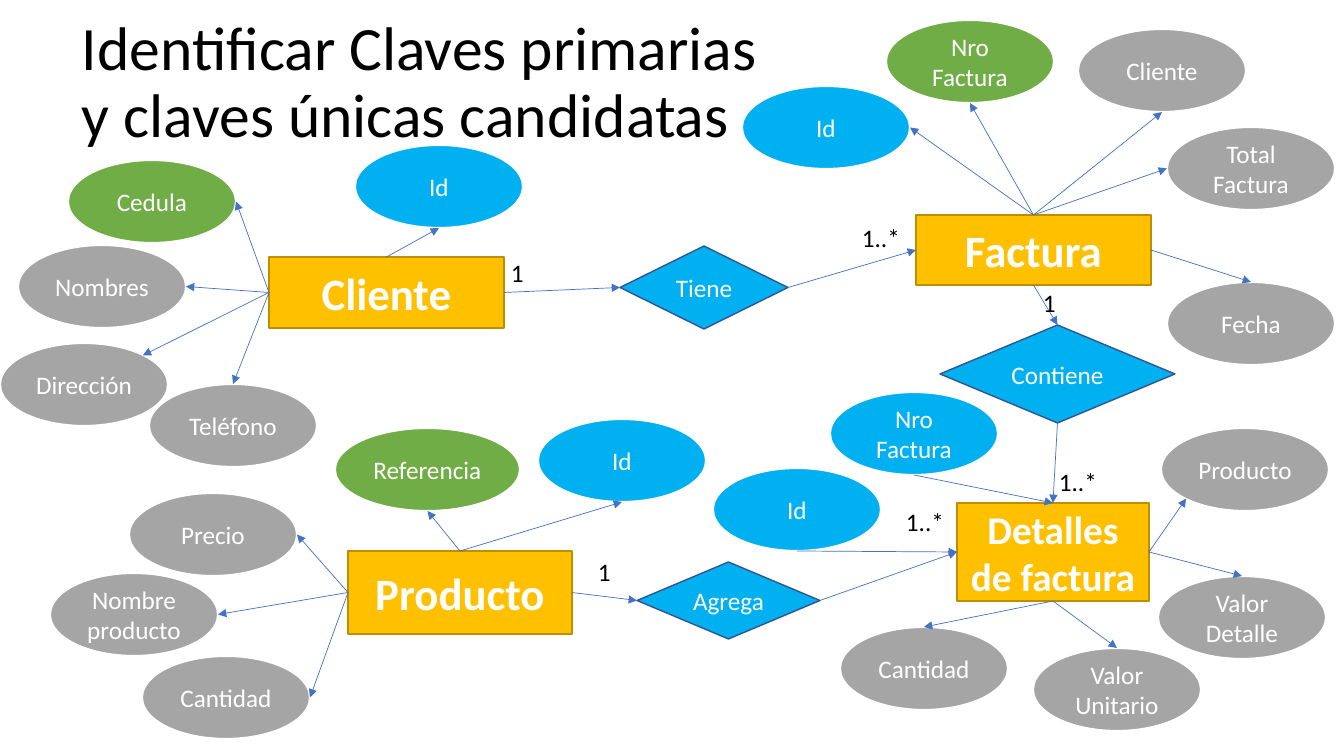
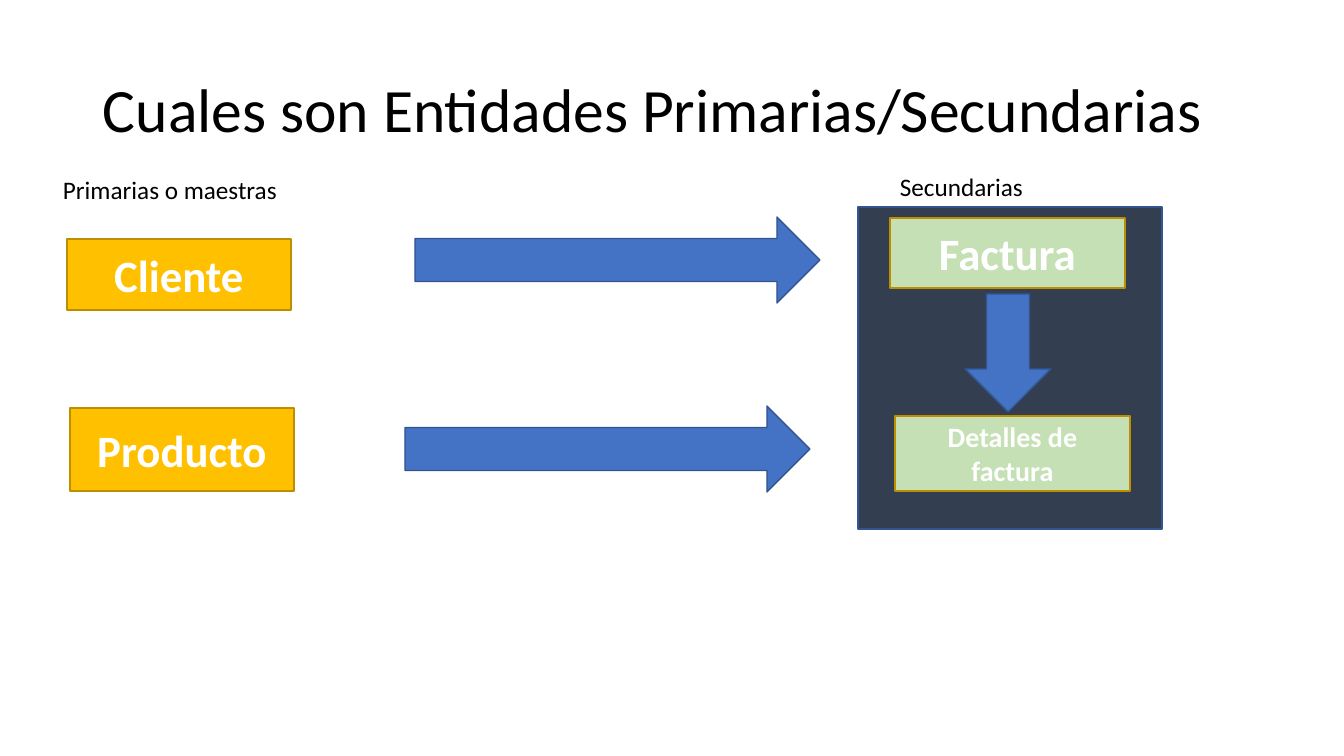
import pptx
import pptx.dml.color
import pptx.enum.shapes
import pptx.enum.text
import pptx.oxml.ns
import pptx.util
from lxml import etree

RGBColor = pptx.dml.color.RGBColor
SHAPES = pptx.enum.shapes.MSO_SHAPE
ALIGN = pptx.enum.text.PP_ALIGN
ANCHOR = pptx.enum.text.MSO_ANCHOR
AUTO_SIZE = pptx.enum.text.MSO_AUTO_SIZE

# Shared look
EMU_PER_PIXEL = 914400 / 100.8
SLIDE_SIZE = (1344, 756)
FONT = "Calibri"
WHITE = RGBColor(0xFF, 0xFF, 0xFF)
BLACK = RGBColor(0x00, 0x00, 0x00)
GOLD = RGBColor(0xFF, 0xC0, 0x00)
DARK_GOLD = RGBColor(0xBD, 0x8E, 0x00)
GRAY = RGBColor(0xA5, 0xA5, 0xA5)
GREEN = RGBColor(0x70, 0xAD, 0x47)
PALE_GREEN = RGBColor(0xC5, 0xE0, 0xB4)
SKY = RGBColor(0x00, 0xB0, 0xF0)
BLUE = RGBColor(0x44, 0x72, 0xC4)
DARK_BLUE = RGBColor(0x32, 0x54, 0x91)
NAVY = RGBColor(0x33, 0x3F, 0x50)

ATTRIBUTE_WIDTH, ATTRIBUTE_HEIGHT = 168, 83

# Anchor points as fractions of a shape's width and height;
# the diagonal ones lie on an ellipse's outline
ANCHOR_POINTS = {
    "top": (0.5, 0), "bottom": (0.5, 1), "left": (0, 0.5), "right": (1, 0.5),
    "top right": (0.85, 0.15), "bottom left": (0.15, 0.85),
}

# Entities of the diagram: box, text size
ENTITIES = {
    "Cliente": ((269, 257, 235, 71), 32),
    "Factura": ((916, 215, 235, 70), 32),
    "Detalles de factura": ((957, 503, 192, 98), 28),
    "Producto": ((348, 551, 224, 83), 32),
}

# Attributes by entity: text, left, top, fill, entity side, attribute side
ATTRIBUTES = {
    "Cliente": [
        ("Nombres", 18, 245, GRAY, "left", "right"),
        ("Dirección", 0, 343, GRAY, "left", "top right"),
        ("Teléfono", 149, 384, GRAY, "left", "top"),
        ("Cedula", 68, 160, GREEN, "left", "right"),
        ("Id", 355, 145, SKY, "top", "bottom"),
    ],
    "Producto": [
        ("Nombre producto", 50, 573, GRAY, "left", "right"),
        ("Cantidad", 142, 656, GRAY, "left", "right"),
        ("Precio", 129, 493, GRAY, "left", "right"),
        ("Referencia", 335, 428, GREEN, "top", "bottom"),
        ("Id", 538, 419, SKY, "top", "bottom"),
    ],
    "Factura": [
        ("Cliente", 1078, 29, GRAY, "top", "bottom"),
        ("Nro Factura", 886, 20, GREEN, "top", "bottom"),
        ("Fecha", 1167, 282, GRAY, "right", "top"),
        ("Total Factura", 1167, 127, GRAY, "top", "left"),
        ("Id", 742, 86, SKY, "top", "right"),
    ],
    "Detalles de factura": [
        ("Cantidad", 840, 627, GRAY, "bottom", "top"),
        ("Producto", 1161, 428, GRAY, "right", "bottom left"),
        ("Valor Unitario", 1033, 648, GRAY, "bottom", "top"),
        ("Valor Detalle", 1158, 576, GRAY, "right", "top"),
        ("Id", 713, 468, SKY, "left", "bottom"),
        ("Nro Factura", 830, 392, SKY, "top", "bottom"),
    ],
}
WIDE_ATTRIBUTES = {"Referencia": 185}
# These attributes point at their entity
INWARD = {("Detalles de factura", "Id"), ("Detalles de factura", "Nro Factura")}

# Relations: text, box, (entity, side, side of diamond) at each end,
# then the corners of the "1" and "1..*" labels
RELATIONS = [
    ("Tiene", (620, 246, 168, 83), ("Cliente", "right", "left"),
     ("Factura", "left", "right"), (501, 252), (852, 217)),
    ("Contiene", (940, 325, 235, 98), ("Factura", "bottom", "top"),
     ("Detalles de factura", "top", "bottom"), (1033, 282), (1049, 461)),
    ("Agrega", (637, 562, 183, 77), ("Producto", "right", "left"),
     ("Detalles de factura", "left", "right"), (588, 551), (896, 501)),
]


def px(pixels):
    return pptx.util.Emu(round(pixels * EMU_PER_PIXEL))


def write_text(frame, text, size=18, color=WHITE, bold=False,
               align=ALIGN.CENTER, anchor=ANCHOR.MIDDLE, spacing=None):
    frame.vertical_anchor = anchor
    paragraph = frame.paragraphs[0]
    paragraph.alignment = align
    paragraph.line_spacing = spacing
    run = paragraph.add_run()
    run.text = text
    run.font.name = FONT
    run.font.size = pptx.util.Pt(size)
    run.font.bold = bold
    run.font.color.rgb = color


def add_box(slide, kind, box, fill, line, text="", line_width=1, **text_format):
    shape = slide.shapes.add_shape(kind, *map(px, box))
    shape.shadow.inherit = False
    shape.fill.solid()
    shape.fill.fore_color.rgb = fill
    shape.line.color.rgb = line
    shape.line.width = pptx.util.Pt(line_width)
    if text:
        shape.text_frame.word_wrap = True
        write_text(shape.text_frame, text, **text_format)
    return shape


def add_entity(slide, text, box, size=32, fill=GOLD):
    return add_box(slide, SHAPES.RECTANGLE, box, fill, DARK_GOLD, text,
                   size=size, bold=True)


def add_label(slide, text, box, wrap=True):
    frame = slide.shapes.add_textbox(*map(px, box)).text_frame
    frame.word_wrap = wrap
    frame.auto_size = AUTO_SIZE.SHAPE_TO_FIT_TEXT
    write_text(frame, text, color=BLACK, align=ALIGN.LEFT, anchor=ANCHOR.TOP)


def add_title(slide, text, box):
    frame = slide.shapes.add_textbox(*map(px, box)).text_frame
    frame.word_wrap = True
    write_text(frame, text, size=44, color=BLACK, align=ALIGN.LEFT, spacing=0.9)


def anchor_point(shape, side):
    across, down = ANCHOR_POINTS[side]
    return (round(shape.left + across * shape.width),
            round(shape.top + down * shape.height))


def add_arrow(slide, start, end):
    """Draw an arrow between two (shape, side) pairs."""
    connector = slide.shapes.add_connector(
        pptx.enum.shapes.MSO_CONNECTOR.STRAIGHT,
        *anchor_point(*start), *anchor_point(*end))
    connector.line.color.rgb = BLUE
    connector.line.width = pptx.util.Pt(0.5)
    qualified = pptx.oxml.ns.qn
    etree.SubElement(connector.line._get_or_add_ln(), qualified("a:tailEnd"),
                     type="triangle")
    etree.SubElement(connector._element.spPr, qualified("a:effectLst"))


def add_attributes(slide, entity_name, entity):
    for text, left, top, fill, entity_side, side in ATTRIBUTES[entity_name]:
        width = WIDE_ATTRIBUTES.get(text, ATTRIBUTE_WIDTH)
        attribute = add_box(slide, SHAPES.OVAL, (left, top, width, ATTRIBUTE_HEIGHT),
                            fill, WHITE, text, line_width=1.5)
        ends = [(entity, entity_side), (attribute, side)]
        if (entity_name, text) in INWARD:
            ends.reverse()
        add_arrow(slide, *ends)


def add_relation(slide, entities, text, box, source, target, one_at, many_at):
    diamond = add_box(slide, SHAPES.FLOWCHART_DECISION, box, SKY, DARK_BLUE, text)
    name, entity_side, side = source
    add_arrow(slide, (entities[name], entity_side), (diamond, side))
    name, entity_side, side = target
    add_arrow(slide, (diamond, side), (entities[name], entity_side))
    add_label(slide, "1", (*one_at, 33, 40), wrap=False)
    add_label(slide, "1..*", (*many_at, 58, 40), wrap=False)


def build_keys_slide(slide):
    add_title(slide, "Identificar Claves primarias y claves únicas candidatas",
              (72, 11, 729, 146))
    entities = {name: add_entity(slide, name, box, size)
                for name, (box, size) in ENTITIES.items()}
    for name, entity in entities.items():
        add_attributes(slide, name, entity)
    for relation in RELATIONS:
        add_relation(slide, entities, *relation)


def build_entities_slide(slide):
    add_title(slide, "Cuales son Entidades Primarias/Secundarias",
              (93, 40, 1159, 146))

    # Primary entities
    add_label(slide, "Primarias o maestras", (53, 169, 672, 40))
    add_entity(slide, "Cliente", (67, 239, 224, 71))
    add_entity(slide, "Producto", (70, 408, 224, 83))

    # Secondary entities on their panel
    add_label(slide, "Secundarias", (890, 166, 175, 40))
    add_box(slide, SHAPES.RECTANGLE, (858, 207, 304, 322), NAVY, DARK_BLUE)
    add_entity(slide, "Factura", (890, 218, 235, 70), fill=PALE_GREEN)
    add_entity(slide, "Detalles de factura", (895, 416, 235, 75), size=20,
               fill=PALE_GREEN)

    # Block arrows
    for box, rotation in [((415, 217, 405, 86), 0), ((405, 406, 405, 86), 0),
                          ((949, 310, 118, 86), 90)]:
        arrow = add_box(slide, SHAPES.RIGHT_ARROW, box, BLUE, DARK_BLUE)
        arrow.rotation = rotation


def main():
    presentation = pptx.Presentation()
    presentation.slide_width, presentation.slide_height = map(px, SLIDE_SIZE)
    blank = presentation.slide_layouts[6]
    for build in (build_keys_slide, build_entities_slide):
        build(presentation.slides.add_slide(blank))
    presentation.save("out.pptx")


main()
